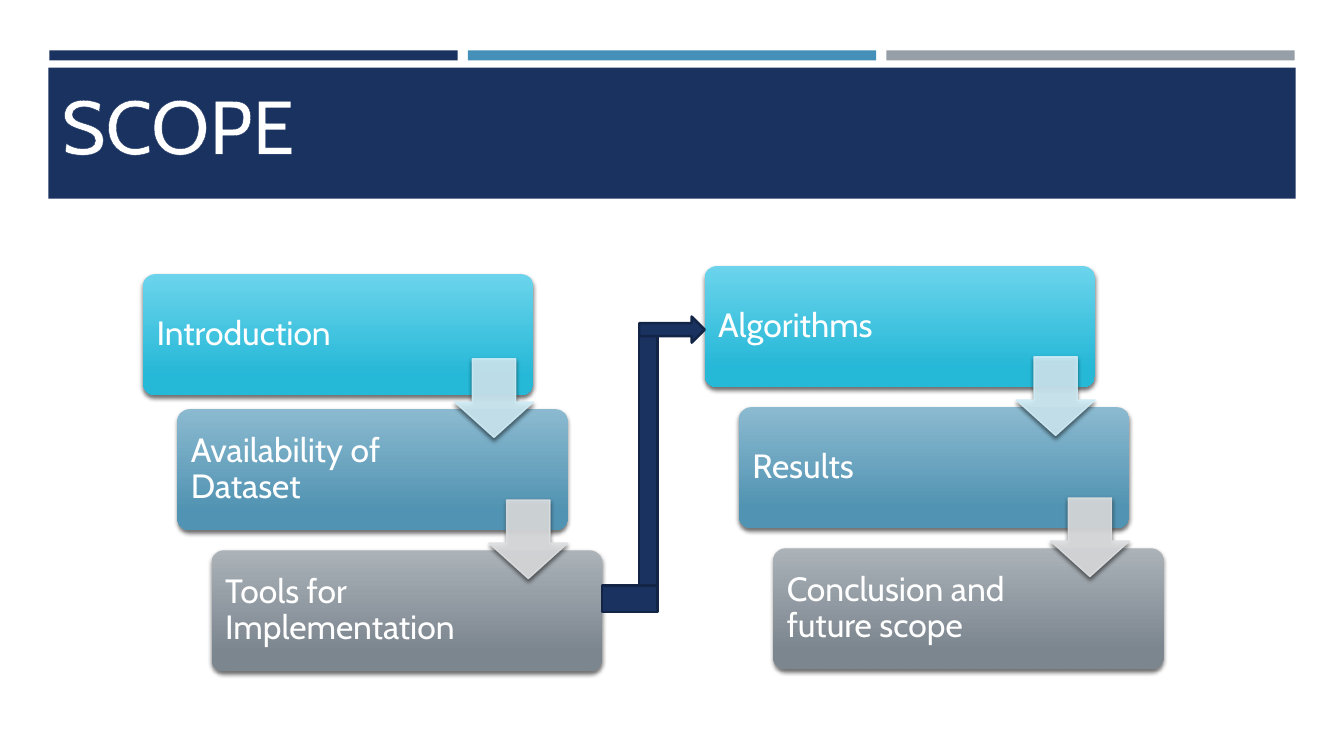
"""Build the SCOPE slide: two stepped columns of topics joined by a bent arrow."""
from lxml import etree
from pptx import Presentation
from pptx.dml.color import RGBColor
from pptx.enum.shapes import MSO_SHAPE as Preset
from pptx.enum.text import MSO_ANCHOR as Anchor, MSO_AUTO_SIZE as AutoSize, PP_ALIGN as Align
from pptx.oxml import parse_xml
from pptx.oxml.ns import nsdecls, qn
from pptx.util import Inches, Pt

FONT, NAVY, NAVY_EDGE, WHITE = "Cabin", "1A3260", "132547", "FFFFFF"
BOX_WIDTH, BOX_HEIGHT = 3.87, 1.2
STEP_X, STEP_Y = 0.34, 1.4
ARROW_X, ARROW_Y, ARROW_SIZE = 3.09, 0.9, 0.78
GRADIENTS = [("6BD4EC", "26B8D7"), ("8BBAD0", "5193B2"), ("ABB2B8", "7C868F")]
ARROW_COLORS = ["CFECF6", "DDDFE1"]
COLUMNS = [
    (1.42, 2.66, 0.06, ["Introduction", "Availability of Dataset", "Tools for Implementation"]),
    (6.99, 2.64, 0, ["Algorithms", "Results", "Conclusion and future scope"]),
]
SHADOW = (
    f'<a:effectLst {nsdecls("a")}><a:outerShdw blurRad="{Pt(3)}" dist="{Pt(2)}" dir="5400000" '
    'rotWithShape="0"><a:srgbClr val="000000"><a:alpha val="55000"/></a:srgbClr>'
    "</a:outerShdw></a:effectLst>"
)


def rgb(color):
    return RGBColor.from_string(color)


def add_block(preset, left, top, width, height, fill, edge=None, edge_width=1, shadow=False):
    shape = slide.shapes.add_shape(preset, Inches(left), Inches(top), Inches(width), Inches(height))
    shape.shadow.inherit = False
    if shadow:
        effects = shape.element.spPr.find(qn("a:effectLst"))
        effects.getparent().replace(effects, parse_xml(SHADOW))
    if isinstance(fill, tuple):
        shape.fill.gradient()
        shape.fill.gradient_angle = 270
        for stop, position, color in zip(shape.fill.gradient_stops, (0, 0.84), fill):
            stop.position, stop.color.rgb = position, rgb(color)
    else:
        shape.fill.solid()
        shape.fill.fore_color.rgb = rgb(fill)
    if edge:
        shape.line.color.rgb, shape.line.width = rgb(edge), Pt(edge_width)
    else:
        shape.line.fill.background()
    return shape


presentation = Presentation()
presentation.slide_width, presentation.slide_height = Inches(13.33), Inches(7.5)
slide = presentation.slides.add_slide(presentation.slide_layouts[5])

for index, color in enumerate([NAVY, "4590B8", "969FA7"]):
    add_block(Preset.RECTANGLE, 0.49 + 4.15 * index, 0.5, 4.05, 0.1, color)
add_block(Preset.RECTANGLE, 0.48, 0.67, 12.37, 1.3, NAVY)

for left, top, first_drop, topics in COLUMNS:
    for row, (topic, gradient) in enumerate(zip(topics, GRADIENTS)):
        drop = first_drop if row == 0 else 0
        box = add_block(Preset.ROUNDED_RECTANGLE, left + STEP_X * row, top + STEP_Y * row + drop,
                        BOX_WIDTH, BOX_HEIGHT, gradient, shadow=True)
        box.adjustments[0] = 0.1
        frame = box.text_frame
        frame.text = topic
        frame.word_wrap, frame.vertical_anchor = True, Anchor.MIDDLE
        frame.margin_left, frame.margin_right = Inches(0.1), Inches(1.22)
        paragraph = frame.paragraphs[0]
        paragraph.alignment, paragraph.line_spacing = Align.LEFT, 0.9
        font = paragraph.runs[0].font
        font.name, font.size, font.color.rgb = FONT, Pt(24), rgb(WHITE)
    for row, color in enumerate(ARROW_COLORS):
        arrow = add_block(Preset.DOWN_ARROW, left + ARROW_X + STEP_X * row,
                          top + ARROW_Y + STEP_Y * row, ARROW_SIZE, ARROW_SIZE,
                          color, edge=color, shadow=True)
        arrow.adjustments[0], arrow.adjustments[1] = 0.55, 0.45
        for color_element in arrow.element.spPr.findall(f".//{qn('a:solidFill')}/{qn('a:srgbClr')}"):
            etree.SubElement(color_element, qn("a:alpha")).set("val", "90000")

for preset, left, top, width, height in [
    (Preset.RECTANGLE, 5.97, 5.81, 0.55, 0.26),
    (Preset.RECTANGLE, 6.34, 3.32, 0.18, 2.49),
    (Preset.RIGHT_ARROW, 6.34, 3.14, 0.65, 0.26),
]:
    add_block(preset, left, top, width, height, NAVY, NAVY_EDGE, 1.75)

title = slide.shapes.title
title.left, title.top, title.width, title.height = map(Inches, (0.51, 0.73, 4.51, 1.01))
title.element.getparent().append(title.element)
frame = title.text_frame
frame.text = "SCOPE"
frame.auto_size, frame.vertical_anchor = AutoSize.NONE, Anchor.TOP
frame.paragraphs[0].alignment = Align.LEFT
run = frame.paragraphs[0].runs[0]
run.font.name, run.font.size, run.font.color.rgb = FONT, Pt(54), rgb(WHITE)
run.font.fill.fore_color.rgb = rgb(WHITE)
outline = parse_xml(
    f'<a:ln {nsdecls("a")} w="{Pt(1)}"><a:solidFill><a:srgbClr val="{NAVY}"/></a:solidFill></a:ln>'
)
run.font.fill
run_properties = title.element.find(f".//{qn('a:rPr')}")
run_properties.insert(0, outline)

presentation.save("out.pptx")
